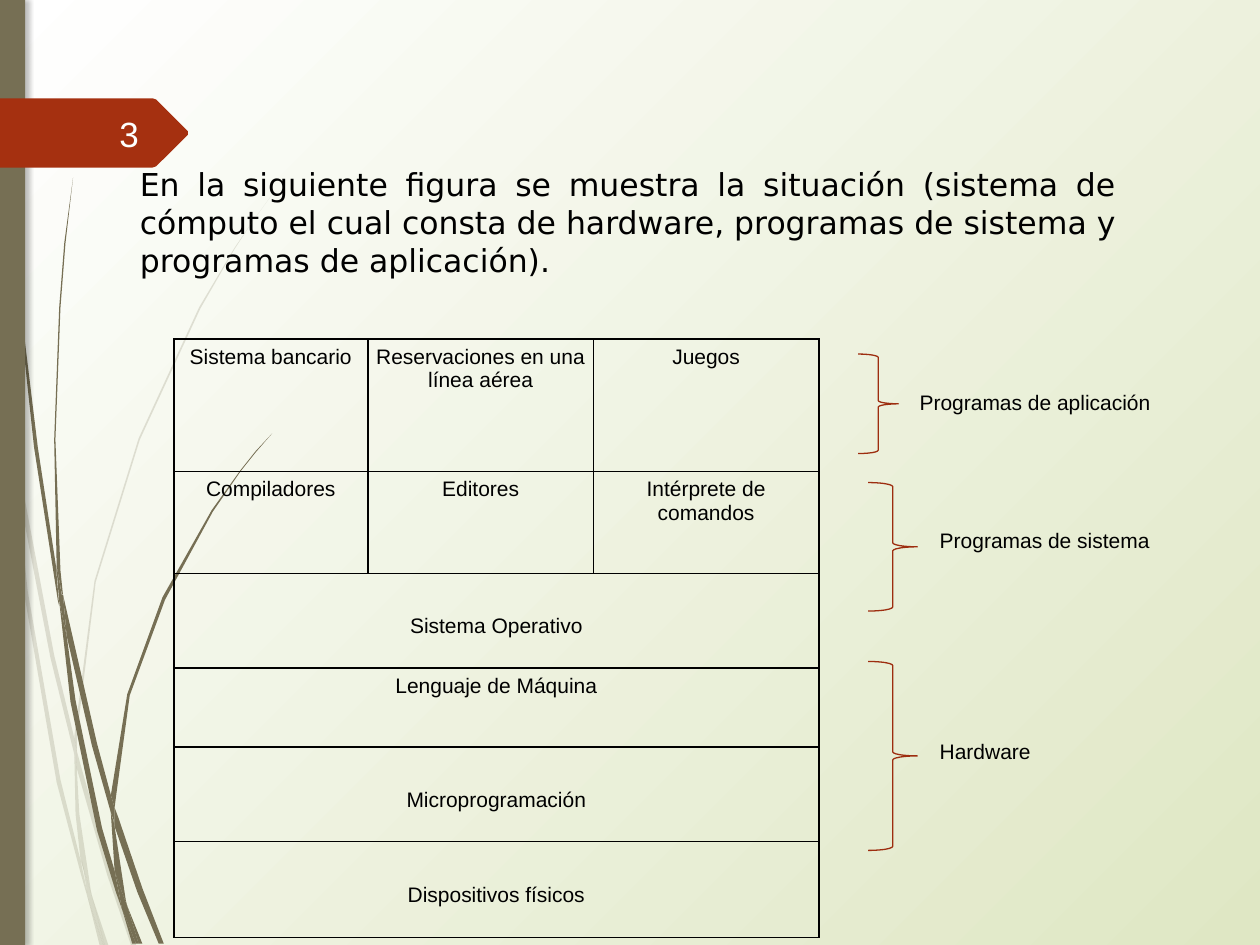
from lxml import etree
from pptx import Presentation
from pptx.dml.color import RGBColor
from pptx.enum.shapes import MSO_SHAPE
from pptx.enum.text import MSO_ANCHOR, MSO_AUTO_SIZE, PP_ALIGN
from pptx.oxml.ns import qn
from pptx.util import Inches, Pt

LEFT, MID, RIGHT, FULL = PP_ALIGN.LEFT, PP_ALIGN.CENTER, PP_ALIGN.RIGHT, PP_ALIGN.JUSTIFY
TOP, HALF = MSO_ANCHOR.TOP, MSO_ANCHOR.MIDDLE
RECT, BRACE = MSO_SHAPE.RECTANGLE, MSO_SHAPE.RIGHT_BRACE
GROW, FIXED = MSO_AUTO_SIZE.SHAPE_TO_FIT_TEXT, MSO_AUTO_SIZE.NONE

WIDE, HIGH = 10, 7.5
BLACK, WHITE, OLIVE, RUST, EDGE = "000000", "FEFFFF", "766F54", "A53010", "9D2D0F"

# Outlines of the grass blades, as x,y corners in inches
PALE = [
    "0.08,3.5 0.06,3.22 0,2.82 0,2.99 0.07,3.44",
    "0.4,5.22 0.59,5.99 0.59,5.86 0.43,5.2 0.1,3.45 0.12,3.76",
    "0.64,6.07 0.61,5.96 0.61,6.1 0.85,6.94 1.04,7.5 1.08,7.5 0.88,6.91",
    "0.83,7.5 0.86,7.5 0.73,7.11",
    "0.64,6.83 0.48,6.19 0.22,4.69 0.12,3.76 0.08,3.5 0.19,4.7 0.45,6.21 "
    "0.64,6.93 0.7,7.14 0.69,7.07",
    "0.59,5.99 0.6,6.46 0.64,6.83 0.67,6.92 0.73,7.11 0.72,7.06 0.63,6.46 0.61,6.1 0.61,6.08",
    "0.61,5.84 0.76,4.62 1.11,3.49 1.59,2.45 1.86,1.98 2.01,1.75 2.17,1.53 2.01,1.75 "
    "1.86,1.97 1.58,2.44 1.1,3.48 0.75,4.61 0.59,5.84 0.59,5.86 0.61,5.96",
    "0.7,7.14 0.79,7.5 0.82,7.5",
    "0.61,6.08 0.61,6.1 0.61,5.96 0.59,5.86 0.59,5.99",
    "0.67,6.92 0.65,6.83 0.69,7.07 0.7,7.14 0.82,7.5 0.83,7.5 0.73,7.11",
]
DARK = [
    "0.05,1.1 0.14,2.33 0.27,3.55 0.46,4.77 0.47,4.81 0.45,4.57 0.45,4.53 0.3,3.55 "
    "0.15,2.32 0.06,1.09 0.04,0.48 0.03,0 0.02,0 0.03,0.48",
    "0.73,5.92 0.88,6.45 0.88,6.33 0.88,6.31 0.77,5.9 0.5,4.72 0.53,5.05",
    "0.94,6.49 0.91,6.41 0.91,6.56 1.09,7.08 1.26,7.49 1.3,7.49 1.13,7.05",
    "0.91,6.91 0.81,6.57 0.6,5.56 0.53,5.05 0.47,4.77 0.56,5.57 0.77,6.59 0.92,7.08 "
    "0.97,7.22 0.96,7.17",
    "0.5,4.72 0.48,4.53 0.44,3.49 0.48,2.44 0.52,1.93 0.58,1.41 0.51,1.93 0.47,2.44 "
    "0.43,3.49 0.45,4.49 0.49,4.71",
    "1.1,7.49 1.13,7.49 1.01,7.19",
    "0.47,4.77 0.53,5.05 0.5,4.72 0.49,4.72 0.45,4.49 0.45,4.53",
    "0.92,6.33 1.03,5.52 1.31,4.76 1.69,4.06 1.91,3.74 2.03,3.59 2.16,3.44 2.03,3.58 "
    "1.91,3.73 1.68,4.05 1.29,4.74 1.01,5.51 0.88,6.31 0.91,6.41",
    "0.97,7.22 1.05,7.49 1.08,7.49",
    "0.88,6.45 0.91,6.91 0.96,7.06 1.01,7.19 1,7.15 0.91,6.56 0.9,6.51",
    "0.88,6.45 0.9,6.5 0.91,6.56 0.91,6.41 0.88,6.31 0.88,6.33",
    "0.96,7.06 0.91,6.91 0.96,7.17 0.97,7.22 1.08,7.49 1.1,7.49 1.01,7.19",
]
TAB = ("1.49,1.07 1.24,1.32 1.21,1.33 0,1.33 0,0.78 1.21,0.78 1.24,0.79 1.49,1.04")

TITLE = ("En la siguiente figura se muestra la situación (sistema de cómputo el cual consta "
         "de hardware, programas de sistema y programas de aplicación).")
COLS = [1.54, 1.79, 1.79]
# Row height, top margin, texts; a single text spans all columns
ROWS = [
    (1.05, 0.05, ["Sistema bancario", "Reservaciones en una línea aérea", "Juegos"]),
    (0.81, 0.05, ["Compiladores", "Editores", "Intérprete de comandos"]),
    (0.75, 0.33, ["Sistema Operativo"]),
    (0.63, 0.05, ["Lenguaje de Máquina"]),
    (0.75, 0.33, ["Microprogramación"]),
    (0.76, 0.33, ["Dispositivos físicos"]),
]
# Brace box, label box, label
LEVELS = [
    ((6.81, 2.81, 0.32, 0.79), (7.2, 3.04, 2.28, 0.47), "Programas de aplicación"),
    ((6.89, 3.83, 0.39, 1.02), (7.36, 4.14, 2.05, 0.47), "Programas de sistema"),
    ((6.89, 5.25, 0.39, 1.5), (7.36, 5.81, 1.6, 0.3), "Hardware"),
]


def tint(text):
    return RGBColor.from_string(text)


def box(vals):
    return [Inches(v) for v in vals]


def put(obj, **vals):
    for name, val in vals.items():
        setattr(obj, name, val)


def add(up, tag, **vals):
    return etree.SubElement(up, qn(tag), {k: str(v) for k, v in vals.items()})


def write(frame, text, size=12, font="Arial", color=BLACK, align=LEFT, after=0):
    para = frame.paragraphs[0]
    put(para, alignment=align, space_after=Pt(after))
    run = para.add_run()
    run.text = text
    put(run.font, size=Pt(size), name=font)
    run.font.color.rgb = tint(color)


def label(slide, area, text, anchor=TOP, **form):
    frame = slide.shapes.add_textbox(*box(area)).text_frame
    put(frame, word_wrap=True, vertical_anchor=anchor)
    write(frame, text, **form)


def paint(shape, color, alpha=None):
    shape.shadow.inherit = False
    shape.fill.solid()
    shape.fill.fore_color.rgb = tint(color)
    shape.line.fill.background()
    if alpha:
        hue = shape._element.spPr.find(".//" + qn("a:srgbClr"))
        add(hue, "a:alpha", val=alpha * 1000)


def blade(slide, text, color, alpha=None):
    dots = [box(float(v) for v in pair.split(",")) for pair in text.split()]
    form = slide.shapes.build_freeform(*dots[0])
    form.add_line_segments(dots[1:], close=True)
    paint(form.convert_to_shape(), color, alpha)


def brace(slide, area):
    shape = slide.shapes.add_shape(BRACE, *box(area))
    shape.shadow.inherit = False
    shape.fill.background()
    shape.line.color.rgb = tint(EDGE)
    shape.line.width = Pt(0.75)
    shape.adjustments[0] = 0.083


def bar(slide):
    shape = slide.shapes.add_shape(RECT, *box((0, 0, 0.2, HIGH)))
    paint(shape, OLIVE)
    list_ = shape._element.spPr.find(qn("a:effectLst"))
    shade = add(list_, "a:outerShdw", blurRad=Pt(3), dist=Pt(2), dir=0)
    add(add(shade, "a:srgbClr", val=BLACK), "a:alpha", val=25000)


def frame_cell(cell):
    props = cell._tc.get_or_add_tcPr()
    for side in "LRTB":
        line = add(props, "a:ln" + side, w=Pt(0.96))
        add(add(line, "a:solidFill"), "a:srgbClr", val=BLACK)
    cell.fill.background()


def layers(slide):
    area = box((1.38, 2.69, sum(COLS), sum(row[0] for row in ROWS)))
    table = slide.shapes.add_table(len(ROWS), len(COLS), *area).table
    put(table, first_row=False, horz_banding=False)
    for col, width in zip(table.columns, COLS):
        col.width = Inches(width)
    for i, (height, top, texts) in enumerate(ROWS):
        table.rows[i].height = Inches(height)
        cells = [table.cell(i, j) for j in range(len(COLS))]
        for cell in cells:
            frame_cell(cell)
            edge = Inches(0.05)
            put(cell, margin_left=edge, margin_right=edge, margin_bottom=edge,
                margin_top=Inches(top))
        if len(texts) == 1:
            cells[0].merge(cells[-1])
        for cell, text in zip(cells, texts):
            write(cell.text_frame, text, align=MID)


def back(slide):
    fill = slide.background.fill
    fill.gradient()
    fill.gradient_angle = 315
    for stop, place, color in zip(fill.gradient_stops, (0, 1), ("FFFFFF", "DFE7C4")):
        stop.position = place
        stop.color.rgb = tint(color)


def head(slide):
    title = slide.shapes.title
    put(title, **dict(zip(("left", "top", "width", "height"), box((1.01, 1.26, 7.95, 1)))))
    put(title.text_frame, word_wrap=True, vertical_anchor=HALF, auto_size=GROW)
    write(title.text_frame, TITLE, size=18, font="DejaVu Sans", align=FULL)


def main():
    deck = Presentation()
    put(deck, slide_width=Inches(WIDE), slide_height=Inches(HIGH))
    slide = deck.slides.add_slide(deck.slide_layouts[5])
    back(slide)
    # Grass, side bar and number tab
    for text in PALE:
        blade(slide, text, OLIVE, 20)
    for text in DARK:
        blade(slide, text, OLIVE)
    bar(slide)
    blade(slide, TAB, RUST)
    # Title and system layers
    head(slide)
    layers(slide)
    # Braces with their labels
    for area, spot, text in LEVELS:
        brace(slide, area)
        label(slide, spot, text, after=10)
    label(slide, (0.56, 0.86, 0.64, 0.4), "3", HALF, size=20, color=WHITE, align=RIGHT)
    deck.save("out.pptx")


if __name__ == "__main__":
    main()
